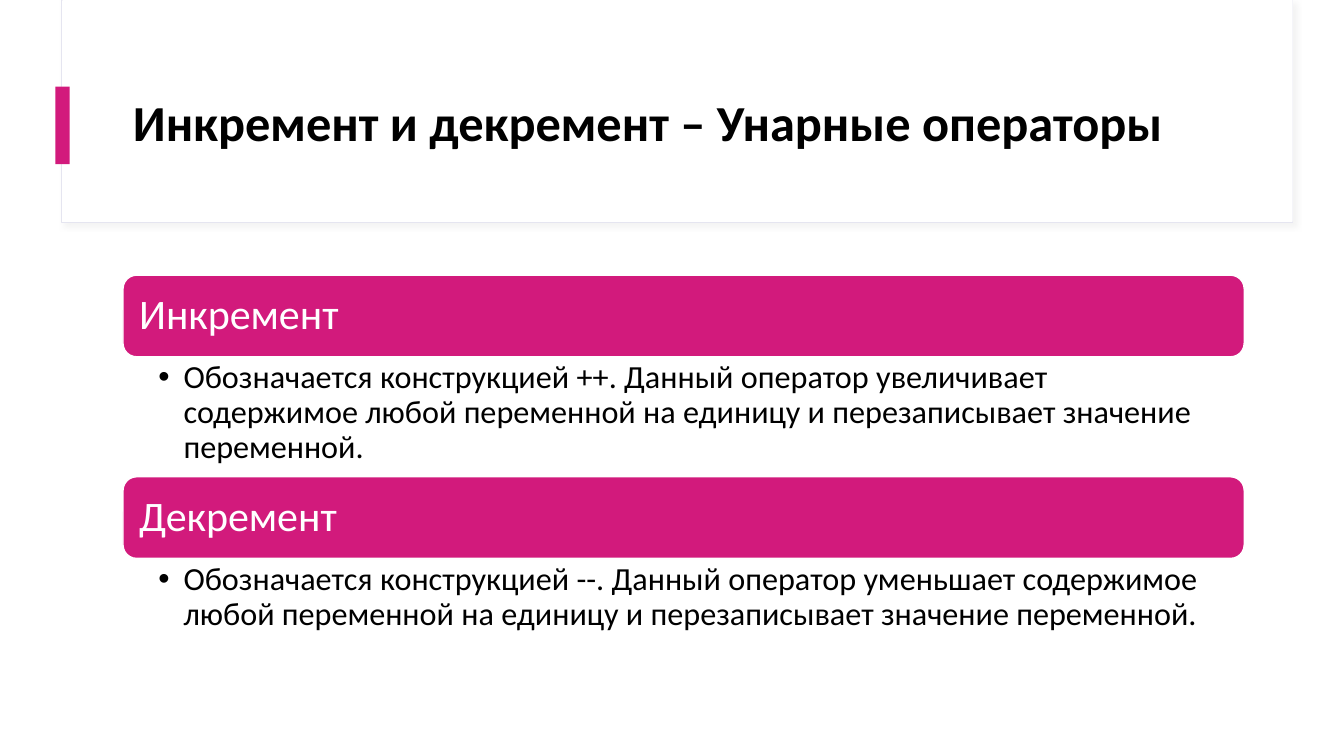
from dataclasses import dataclass

from lxml import etree
from pptx import Presentation
from pptx import util as u
from pptx.dml.color import RGBColor
from pptx.enum import shapes, text
from pptx.oxml import ns

PINK, WHITE, BLACK = "D21A7C", "FFFFFF", "000000"
FONT = "Calibri"
LEFT, WIDTH = 1.22, 11.12
BAR_H, BODY_H = 0.81, 1.19
FIRST_TOP = 2.73


@dataclass
class Operator:
    name: str
    description: str


OPERATORS = [
    Operator("Инкремент",
             "Обозначается конструкцией ++. Данный оператор увеличивает содержимое "
             "любой переменной на единицу и перезаписывает значение переменной."),
    Operator("Декремент",
             "Обозначается конструкцией --. Данный оператор уменьшает содержимое "
             "любой переменной на единицу и перезаписывает значение переменной."),
]


def color(value: str) -> RGBColor:
    return RGBColor.from_string(value)


def add_box(s, kind, left: float, top: float, width: float, height: float,
            fill: str, line: str = "", weight: float = 1):
    sp = s.shapes.add_shape(kind, u.Inches(left), u.Inches(top),
                            u.Inches(width), u.Inches(height))
    sp.shadow.inherit = False
    sp.fill.solid()
    sp.fill.fore_color.rgb = color(fill)
    if line:
        sp.line.color.rgb = color(line)
        sp.line.width = u.Pt(weight)
    else:
        sp.line.fill.background()
    return sp


def add_text_box(s, left: float, top: float, width: float, height: float):
    return s.shapes.add_textbox(u.Inches(left), u.Inches(top),
                                u.Inches(width), u.Inches(height))


def write(sp, words: str, size: float, ink: str, insets: tuple,
          anchor=text.MSO_ANCHOR.MIDDLE, bold: bool = False):
    tf = sp.text_frame
    tf.word_wrap = True
    tf.vertical_anchor = anchor
    tf.margin_left, tf.margin_top, tf.margin_right, tf.margin_bottom = map(u.Inches, insets)
    p = tf.paragraphs[0]
    p.alignment = text.PP_ALIGN.LEFT
    p.line_spacing = 0.9
    r = p.add_run()
    r.text = words
    r.font.name = FONT
    r.font.size = u.Pt(size)
    r.font.bold = bold
    r.font.color.rgb = color(ink)
    return p


def add_bullet(p, indent: float) -> None:
    pPr = p._p.get_or_add_pPr()
    pPr.set("marL", str(u.Inches(indent)))
    pPr.set("indent", str(-u.Inches(indent)))
    etree.SubElement(pPr, ns.qn("a:buFont"), typeface="Arial")
    etree.SubElement(pPr, ns.qn("a:buChar"), char="•")


def add_shadow(sp, tint: str, opacity: int, blur: float, distance: float, angle: int) -> None:
    effects = sp._element.spPr.find(ns.qn("a:effectLst"))
    shadow = etree.SubElement(effects, ns.qn("a:outerShdw"), blurRad=str(u.Pt(blur)),
                              dist=str(u.Pt(distance)), dir=str(angle * 60000),
                              algn="tl", rotWithShape="0")
    clr = etree.SubElement(shadow, ns.qn("a:srgbClr"), val=tint)
    etree.SubElement(clr, ns.qn("a:alpha"), val=str(opacity * 1000))


def add_header(s) -> None:
    rect = shapes.MSO_SHAPE.RECTANGLE
    frame = add_box(s, rect, 0.61, 0, 12.21, 2.21, WHITE, "E5E5F0", 0.75)
    add_shadow(frame, "D9D9D9", 30, 4, 3, 45)
    add_box(s, rect, 0.62, 0, 12.2, 2.2, WHITE)
    add_box(s, rect, 0.55, 0.86, 0.14, 0.77, PINK)
    title = add_text_box(s, LEFT, 0.6, WIDTH, 1.29)
    write(title, "Инкремент и декремент – Унарные операторы", 36, BLACK,
          (0.1, 0.05, 0.1, 0.05), bold=True)


def add_operator(s, operator: Operator, top: float) -> None:
    bar = add_box(s, shapes.MSO_SHAPE.ROUNDED_RECTANGLE, LEFT, top, WIDTH, BAR_H, PINK, WHITE)
    write(bar, operator.name, 30, WHITE, (0.12,) * 4)
    body = add_text_box(s, LEFT, top + BAR_H, WIDTH, BODY_H)
    p = write(body, operator.description, 23, BLACK, (0.35, 0.04, 0.23, 0.04),
              text.MSO_ANCHOR.TOP)
    add_bullet(p, 0.25)


def main() -> None:
    prs = Presentation()
    prs.slide_width, prs.slide_height = u.Inches(13.33), u.Inches(7.5)
    s = prs.slides.add_slide(prs.slide_layouts[6])

    # Framed header with accent and title
    add_header(s)

    # Operators stacked one under another
    for i, operator in enumerate(OPERATORS):
        add_operator(s, operator, FIRST_TOP + i * (BAR_H + BODY_H))

    prs.save("out.pptx")


if __name__ == "__main__":
    main()
